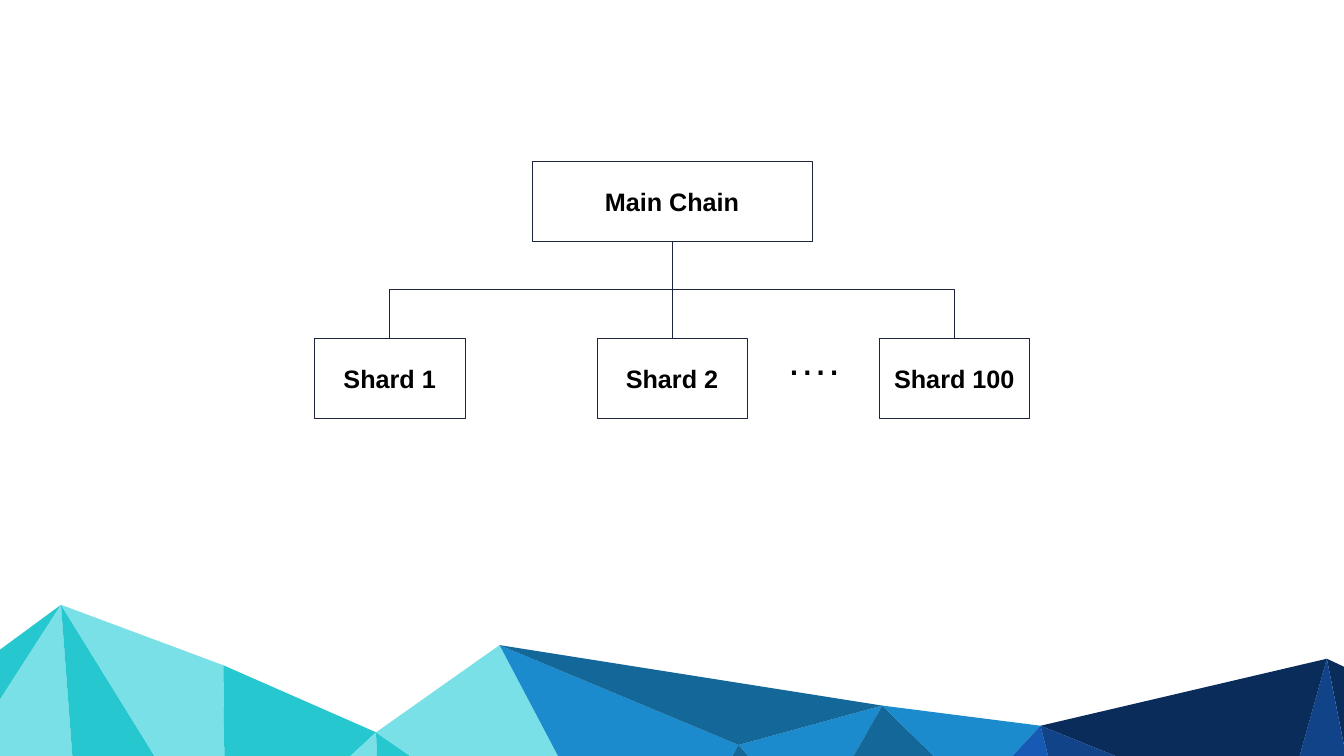
import dataclasses

import pptx
import pptx.dml.color
import pptx.enum.shapes
import pptx.enum.text
import pptx.oxml.ns
import pptx.oxml.xmlchemy
import pptx.util
import lxml.etree

Inches = pptx.util.Inches
qn = pptx.oxml.ns.qn


@dataclasses.dataclass(frozen=True)
class Theme:
    font: str = "Arial"
    label: int = 36
    dots: int = 60
    rule: float = 0.75
    paper: str = "FFFFFF"
    ink: str = "000000"
    line: str = "1B243B"
    teal: str = "27C7CF"
    aqua: str = "78E0E6"
    blue: str = "1B8BCD"
    steel: str = "146899"
    royal: str = "165AB6"
    navy: str = "0A2C5B"
    cobalt: str = "104388"


THEME = Theme()
WIDTH, HEIGHT = 26.66, 15
MID = WIDTH / 2
STEP = 5.6          # distance between shard centres
BOX_H = 1.58
MAIN_W, MAIN_TOP = 5.55, 3.2
SHARD_W, SHARD_TOP = 2.98, 6.71

# Corners of the mountain facets: r = ridge, m = inner, f = foot
NODES = {
    "r0": (0, 12.89), "r1": (1.21, 12), "r2": (4.43, 13.2),
    "r3": (7.46, 14.53), "r4": (9.91, 12.8), "r5": (17.5, 14),
    "r6": (20.64, 14.4), "r7": (26.32, 13.07), "r8": (26.81, 13.3),
    "m0": (0, 13.88), "m1": (14.65, 14.78), "m2": (16.1, 16.47),
    "m3": (19.34, 15.8), "m4": (25.41, 16.32), "m5": (26.81, 15.55),
    "f0": (0, 16.64), "f1": (1.56, 16.64), "f2": (4.08, 16.64),
    "f3": (4.47, 16.64), "f4": (5.18, 16.64), "f5": (7.54, 16.64),
    "f6": (10.5, 16.64), "f7": (11.94, 16.65), "f8": (13.6, 16.67),
    "f9": (15.71, 16.68), "f10": (20.28, 16.71), "f11": (21.22, 16.71),
    "f12": (24.41, 16.71), "f13": (26, 16.71), "f14": (26.81, 16.71),
}

FACETS = [
    (THEME.teal, "r1 r0 m0"),
    (THEME.aqua, "f1 r1 m0 f0"),
    (THEME.teal, "f2 r1 f1"),
    (THEME.aqua, "f3 r2 r1 f2"),
    (THEME.teal, "f4 r3 r2 f3"),
    (THEME.aqua, "f5 r3 f4"),
    (THEME.teal, "f6 r3 f5"),
    (THEME.aqua, "f7 r4 r3 f6"),
    (THEME.blue, "f8 m1 r4 f7"),
    (THEME.blue, "m1 m2 r5"),
    (THEME.steel, "m2 m3 r5"),
    (THEME.blue, "r5 m3 r6"),
    (THEME.royal, "f11 r6 m3 f10"),
    (THEME.navy, "r6 m4 r7"),
    (THEME.cobalt, "f12 m4 r6 f11"),
    (THEME.navy, "r8 r7 m5"),
    (THEME.cobalt, "f14 m5 r7 m4 f13"),
    (THEME.steel, "r4 r5 m1"),
    (THEME.steel, "f9 m2 m1 f8"),
]


def rgb(code):
    return pptx.dml.color.RGBColor.from_string(code)


def paint(shape, code):
    shape.shadow.inherit = False
    shape.fill.solid()
    shape.fill.fore_color.rgb = rgb(code)


def add_facet(slide, code, names):
    first, *rest = [tuple(Inches(v) for v in NODES[name])
                    for name in names.split()]
    pen = slide.shapes.build_freeform(*first)
    pen.add_line_segments(rest, close=True)
    facet = pen.convert_to_shape()
    paint(facet, code)
    facet.line.fill.background()


def write(shape, text, size, bold, anchor):
    frame = shape.text_frame
    frame.word_wrap = True
    frame.vertical_anchor = anchor
    frame.margin_left = frame.margin_right = Inches(0.1)
    frame.margin_top = frame.margin_bottom = Inches(0.1)
    para = frame.paragraphs[0]
    para.alignment = pptx.enum.text.PP_ALIGN.CENTER
    run = para.add_run()
    run.text = text
    run.font.name = THEME.font
    run.font.size = pptx.util.Pt(size)
    run.font.bold = bold
    run.font.color.rgb = rgb(THEME.ink)


def stroke(item):
    item.line.color.rgb = rgb(THEME.line)
    item.line.width = pptx.util.Pt(THEME.rule)


def add_box(slide, text, centre, top, width):
    box = slide.shapes.add_shape(
        pptx.enum.shapes.MSO_SHAPE.RECTANGLE, Inches(centre - width / 2),
        Inches(top), Inches(width), Inches(BOX_H))
    paint(box, THEME.paper)
    stroke(box)
    write(box, text, THEME.label, True, pptx.enum.text.MSO_ANCHOR.MIDDLE)
    return box


def add_branch(slide, main, shard):
    """Join main to shard with an elbow that leaves downwards.

    An elbow runs sideways by default, so its frame is turned a quarter.
    """
    link = slide.shapes.add_connector(
        pptx.enum.shapes.MSO_CONNECTOR.ELBOW, 0, 0, 0, 0)
    link.begin_connect(main, 2)
    link.end_connect(shard, 0)
    start = main.left + main.width // 2
    end = shard.left + shard.width // 2
    top = main.top + main.height
    drop, span = shard.top - top, abs(end - start)
    link.left = (start + end - drop) // 2
    link.top = top + (drop - span) // 2
    link.width, link.height = drop, span
    props = link.element.spPr
    frame = props.find(qn("a:xfrm"))
    leftward = end < start
    frame.set("rot", str((90 if leftward else 270) * 60000))
    frame.set("flipH", "0" if leftward else "1")
    frame.set("flipV", "0")
    stroke(link)
    lxml.etree.SubElement(props, qn("a:effectLst"))


def add_dots(slide, centre):
    width, height = 1.75, 1.97
    top = SHARD_TOP + (BOX_H - height) / 2
    dots = slide.shapes.add_textbox(
        Inches(centre - width / 2), Inches(top), Inches(width), Inches(height))
    write(dots, "….", THEME.dots, False, pptx.enum.text.MSO_ANCHOR.TOP)


def main():
    deck = pptx.Presentation()
    deck.slide_width, deck.slide_height = Inches(WIDTH), Inches(HEIGHT)
    slide = deck.slides.add_slide(deck.slide_layouts[6])
    slide.background.fill.solid()
    slide.background.fill.fore_color.rgb = rgb(THEME.paper)

    for code, names in FACETS:
        add_facet(slide, code, names)

    chain = add_box(slide, "Main Chain", MID, MAIN_TOP, MAIN_W)
    shards = [add_box(slide, text, MID + col * STEP, SHARD_TOP, SHARD_W)
              for col, text in enumerate(("Shard 1", "Shard 2", "Shard 100"), -1)]
    for shard in shards:
        add_branch(slide, chain, shard)
    add_dots(slide, MID + STEP / 2)
    deck.save("out.pptx")


if __name__ == "__main__":
    main()
